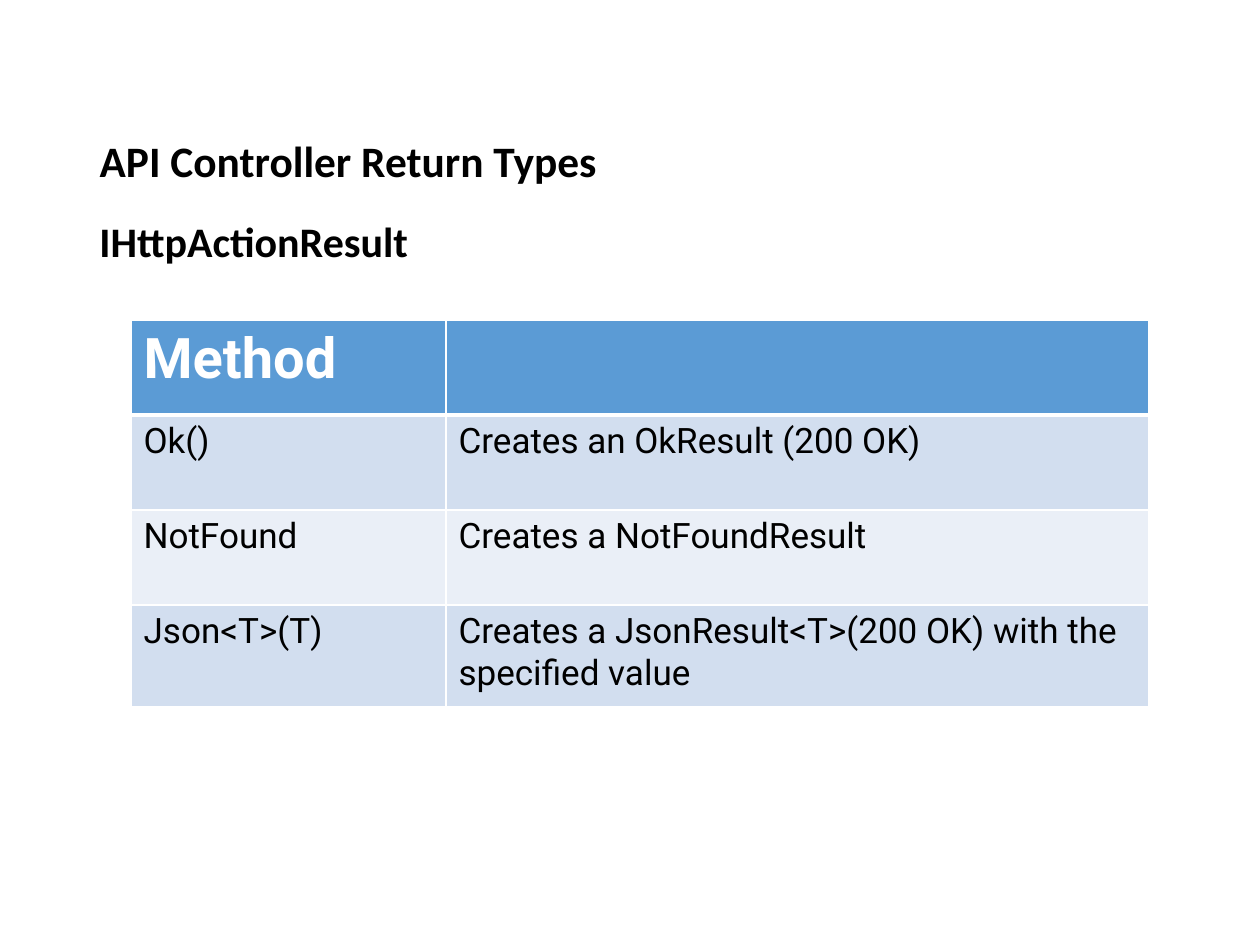
from lxml.etree import SubElement
from pptx import Presentation
from pptx.dml.color import RGBColor
from pptx.enum.text import MSO_ANCHOR as Anchor, MSO_AUTO_SIZE as AutoSize, PP_ALIGN as Align
from pptx.oxml.ns import qn
from pptx.util import Pt

EMU_PER_PX = 914400 / 126
HEADER = ("Method", "")
METHODS = [
    ("Ok()", "Creates an OkResult (200 OK)"),
    ("NotFound", "Creates a NotFoundResult"),
    ("Json<T>(T)", "Creates a JsonResult<T>(200 OK) with the specified value"),
]


def px(length):
    return round(length * EMU_PER_PX)


def color(hex_string):
    return RGBColor.from_string(hex_string)


def write(frame, text, font="Roboto", size=20, fill="000000", bold=False, spacing=1.0,
          anchor=Anchor.TOP):
    frame.word_wrap = True
    frame.vertical_anchor = anchor
    paragraph = frame.paragraphs[0]
    paragraph.alignment = Align.LEFT
    paragraph.line_spacing = spacing
    if text:
        run = paragraph.add_run()
        run.text = text
        run.font.name = font
        run.font.size = Pt(size)
        run.font.bold = bold
        run.font.color.rgb = color(fill)


class ReturnTypesSlide:
    """Hold the style and the slide, and add its elements."""

    heading = dict(font="Calibri", bold=True, spacing=0.9)
    header_fill = "5B9BD5"
    band_fills = ("D2DEEF", "EAEFF7")
    rule = "FFFFFF"

    def __init__(self, deck):
        self.slide = deck.slides.add_slide(deck.slide_layouts[5])

    def title(self, text, left, top, width, height):
        title = self.slide.shapes.title
        title.left, title.top, title.width, title.height = map(px, (left, top, width, height))
        title.text_frame.auto_size = AutoSize.NONE
        write(title.text_frame, text, size=24.8, anchor=Anchor.MIDDLE, **self.heading)

    def subtitle(self, text, left, top, width, height):
        box = self.slide.shapes.add_textbox(*map(px, (left, top, width, height)))
        write(box.text_frame, text, size=24, **self.heading)

    def border(self, cell, bottom):
        properties = cell._tc.get_or_add_tcPr()
        for index, (side, points) in enumerate(zip("LRTB", (1, 1, 1, bottom))):
            line = SubElement(properties, qn(f"a:ln{side}"), w=str(Pt(points)))
            fill = SubElement(line, qn("a:solidFill"))
            SubElement(fill, qn("a:srgbClr"), val=self.rule)
            properties.insert(index, line)

    def table(self, records, left, top, widths, heights):
        table = self.slide.shapes.add_table(
            len(heights), len(widths), px(left), px(top), px(sum(widths)), px(sum(heights))
        ).table
        for column, width in zip(table.columns, widths):
            column.width = px(width)
        for number, (row, height, record) in enumerate(zip(table.rows, heights, records)):
            row.height = px(height)
            is_header = number == 0
            band = self.header_fill if is_header else self.band_fills[(number - 1) % 2]
            style = dict(size=32, fill="FFFFFF", bold=True) if is_header else {}
            for cell, text in zip(row.cells, record):
                cell.fill.solid()
                cell.fill.fore_color.rgb = color(band)
                self.border(cell, bottom=3 if is_header else 1)
                write(cell.text_frame, text, **style)


def main():
    deck = Presentation()
    deck.slide_width, deck.slide_height = px(1260), px(945)
    page = ReturnTypesSlide(deck)
    page.title("API Controller Return Types", 87, 111, 1086, 104)
    page.subtitle("IHttpActionResult", 87, 215, 554, 635)
    page.table([HEADER, *METHODS], 131, 320, widths=(315, 703), heights=(95, 95, 95, 102))
    deck.save("out.pptx")


if __name__ == "__main__":
    main()
